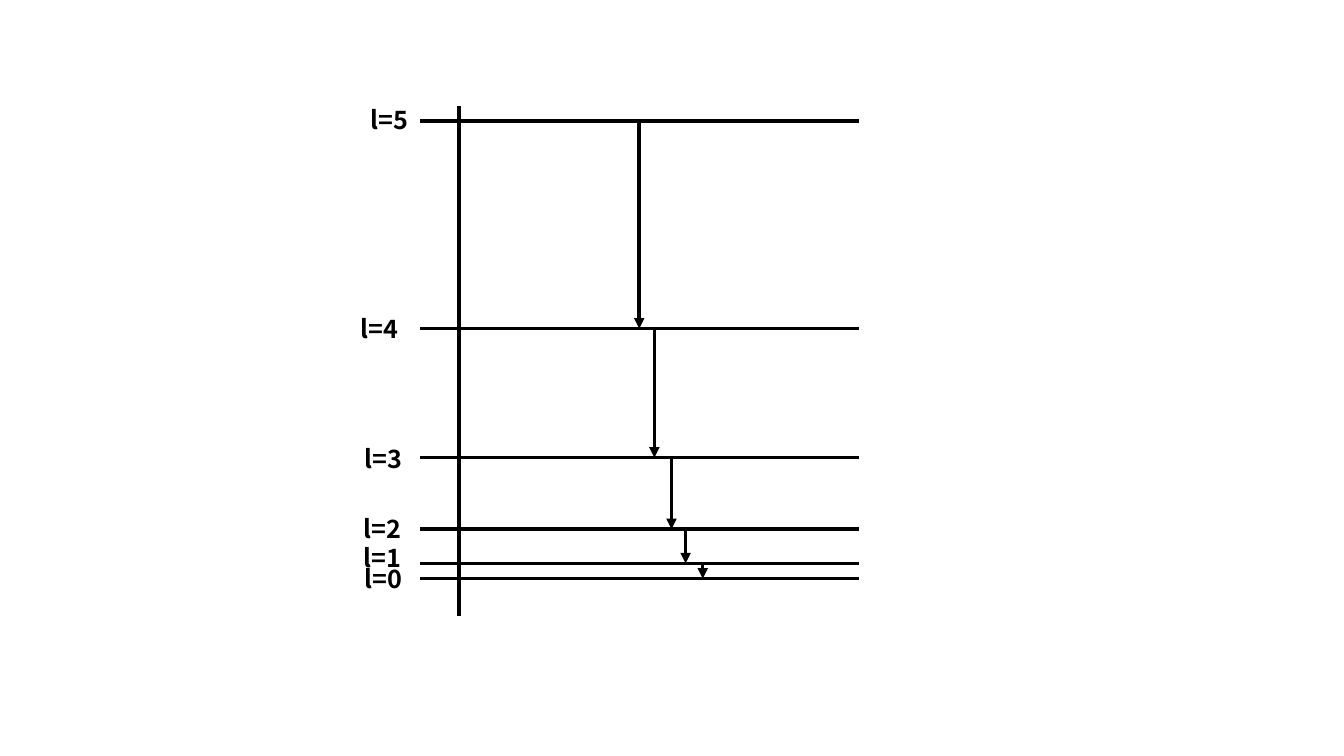
from itertools import pairwise

from lxml.etree import SubElement
from pptx import Presentation
from pptx.dml.color import RGBColor
from pptx.enum.shapes import MSO_CONNECTOR
from pptx.enum.text import MSO_AUTO_SIZE
from pptx.oxml.ns import qn
from pptx.util import Emu, Pt

COLORS = {"ink": "000000"}
FONT = "Noto Sans CJK SC"
EMU_PER_PX = 9144
LEVEL_LEFT, LEVEL_RIGHT = 417, 852
AXIS_X, AXIS_TOP, AXIS_BOTTOM = 455, 105, 611
LEVEL_HEIGHTS = [574, 559, 525, 454, 326, 120]
LABEL_CORNERS = [(352, 554), (351, 533), (351, 504), (352, 435), (348, 306), (358, 99)]
TRANSITION_X = [634, 649, 666, 680, 697]


def px(length):
    """Turn whole pixels into EMU."""
    return Emu(length * EMU_PER_PX)


def write_text(paragraph, text, size=18, color="ink", bold=False):
    """Add a formatted run of text to a paragraph."""
    run = paragraph.add_run()
    run.text = text
    run.font.name = FONT
    run.font.size = Pt(size)
    run.font.bold = bold
    run.font.color.rgb = RGBColor.from_string(COLORS[color])


class Diagram:
    """Draw lines, arrows and labels on one slide in a shared style."""

    def __init__(self, slide, line_width=2.5, color="ink"):
        """Keep the slide and the line style."""
        self.slide = slide
        self.line_width = Pt(line_width)
        self.color = color

    def line(self, x1, y1, x2, y2):
        """Draw a straight line and return its connector."""
        connector = self.slide.shapes.add_connector(
            MSO_CONNECTOR.STRAIGHT, px(x1), px(y1), px(x2), px(y2))
        connector.line.width = self.line_width
        connector.line.color.rgb = RGBColor.from_string(COLORS[self.color])
        SubElement(connector.element.spPr, qn("a:effectLst"))
        return connector

    def arrow(self, x1, y1, x2, y2):
        """Draw a line with a triangle at its end."""
        connector = self.line(x1, y1, x2, y2)
        SubElement(connector.line._get_or_add_ln(), qn("a:tailEnd"), type="triangle")

    def label(self, left, top, text, width=58, height=40):
        """Place a bold label that keeps to one line."""
        shape = self.slide.shapes.add_textbox(px(left), px(top), px(width), px(height))
        shape.text_frame.word_wrap = False
        shape.text_frame.auto_size = MSO_AUTO_SIZE.SHAPE_TO_FIT_TEXT
        write_text(shape.text_frame.paragraphs[0], text, bold=True)


def main():
    """Build the energy level diagram."""
    presentation = Presentation()
    presentation.slide_width, presentation.slide_height = px(1333), px(750)
    diagram = Diagram(presentation.slides.add_slide(presentation.slide_layouts[6]))

    diagram.line(AXIS_X, AXIS_BOTTOM, AXIS_X, AXIS_TOP)
    for y in LEVEL_HEIGHTS:
        diagram.line(LEVEL_LEFT, y, LEVEL_RIGHT, y)
    for level, (left, top) in enumerate(LABEL_CORNERS):
        diagram.label(left, top, f"l={level}")
    for x, (upper, lower) in zip(TRANSITION_X, pairwise(reversed(LEVEL_HEIGHTS))):
        diagram.arrow(x, upper, x, lower)

    presentation.save("out.pptx")


if __name__ == "__main__":
    main()
